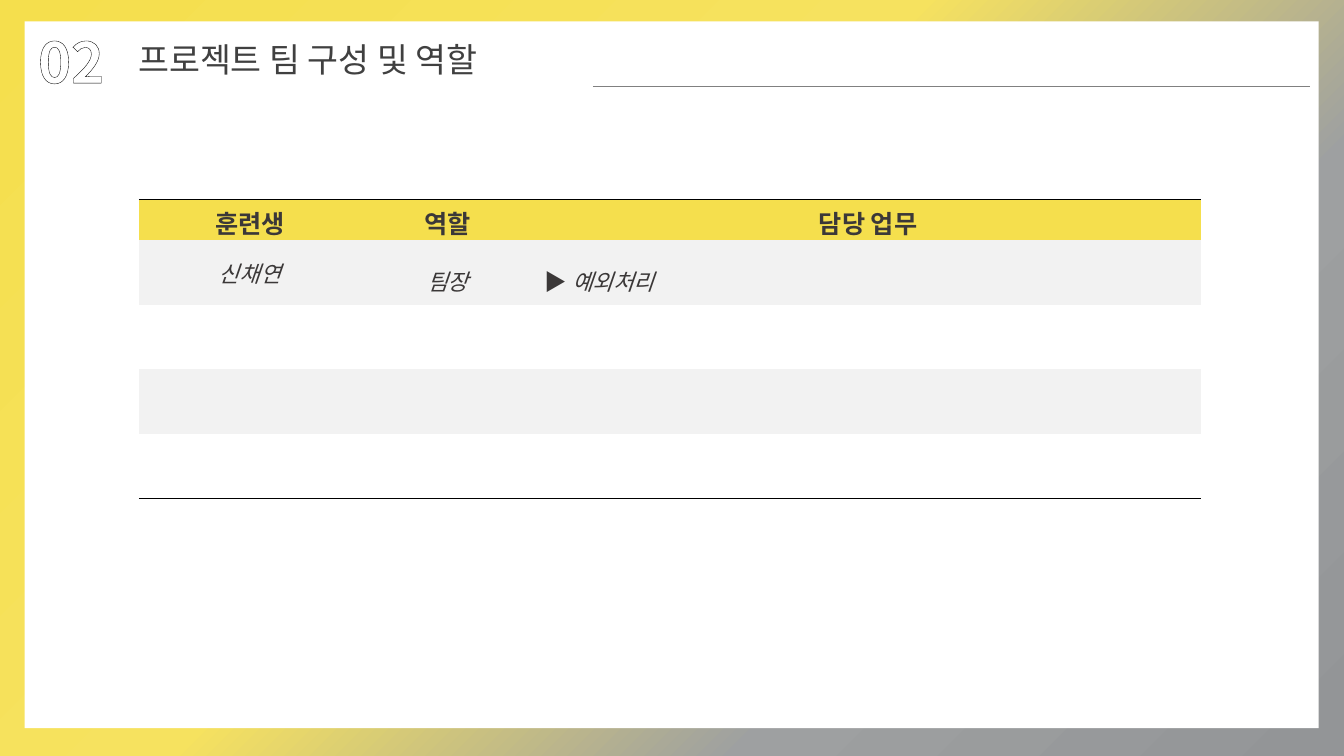
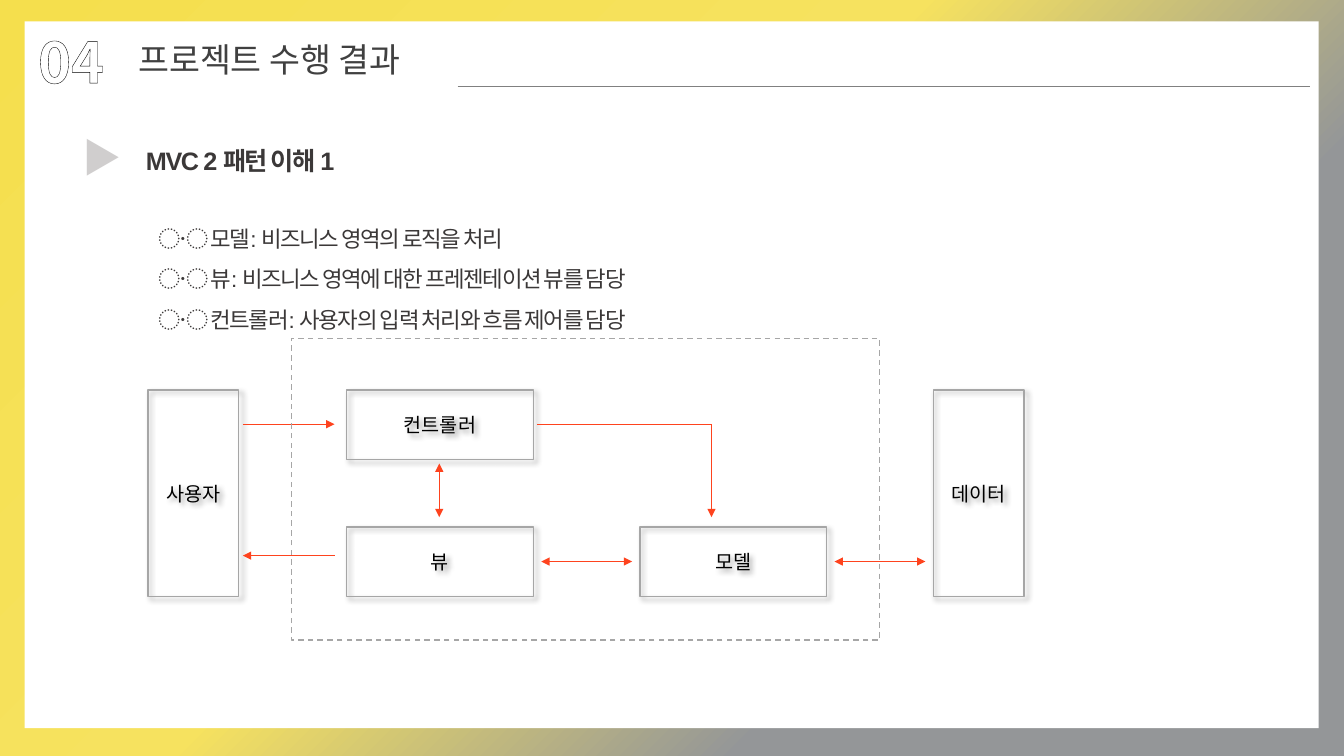
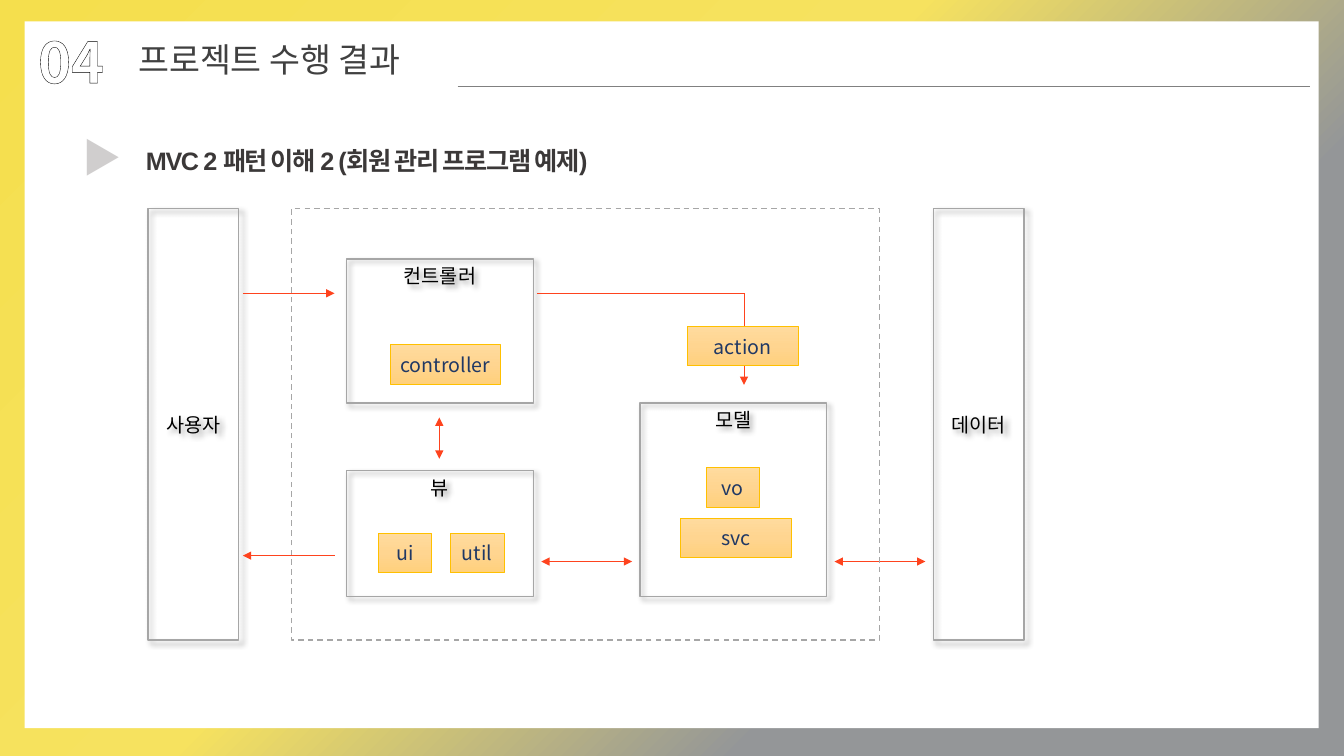
from pptx import Presentation
from pptx.dml.color import RGBColor
from pptx.enum.dml import MSO_LINE
from pptx.enum.shapes import MSO_CONNECTOR, MSO_SHAPE
from pptx.enum.text import MSO_ANCHOR, MSO_AUTO_SIZE, PP_ALIGN
from pptx.oxml import parse_xml
from pptx.oxml.ns import nsdecls, qn
from pptx.util import Cm, Pt

# Colours and fonts
YELLOW = RGBColor(0xF5, 0xDF, 0x4D)
PALE_YELLOW = RGBColor(0xF6, 0xE2, 0x5F)
SILVER = RGBColor(0x9E, 0xA0, 0xA1)
STEEL = RGBColor(0x94, 0x96, 0x98)
GREY = RGBColor(0x93, 0x95, 0x97)
RULE = RGBColor(0x80, 0x80, 0x80)
OUTLINE = RGBColor(0xA6, 0xA6, 0xA6)
LIGHT = RGBColor(0xD0, 0xCE, 0xCE)
BAND = RGBColor(0xF2, 0xF2, 0xF2)
WHITE = RGBColor(0xFF, 0xFF, 0xFF)
BLACK = RGBColor(0, 0, 0)
INK = RGBColor(0x3B, 0x38, 0x38)
TITLE = RGBColor(0x40, 0x40, 0x40)
RED = RGBColor(0xFE, 0x43, 0x1E)
AMBER = RGBColor(0xFF, 0xC0, 0x00)
NAVY = RGBColor(0x20, 0x38, 0x64)
TAG_STOPS = [(0, RGBColor(0xFF, 0xDB, 0x9E), 100),
             (50, RGBColor(0xFF, 0xD5, 0x90), 100),
             (100, RGBColor(0xFF, 0xD0, 0x7C), 100)]
KR, ARIAL, CALIBRI = "Noto Sans CJK KR", "Arial", "Calibri"
NO_GRID = "{2D5ABB26-0587-4C30-8999-92F81FD0307C}"

# Diagram columns, in cm
USER_X, DATA_X, ACTOR_W = 3.73, 23.52, 2.29
LEFT_X, MODEL_X, BOX_W = 8.74, 16.13, 4.7
BOX_BOTTOM, FRAME_BOTTOM = 15.04, 16.13


def xml(text):
    """Parse one DrawingML element."""
    tag, rest = text[1:].split(" ", 1)
    return parse_xml(f"<{tag} {nsdecls('a')} {rest}")


def box(x, y, w, h):
    return Cm(x), Cm(y), Cm(w), Cm(h)


# Text
def add_run(p, text, size, color, font=KR, bold=False, italic=False, spc=0):
    r = p.add_run()
    r.text = text
    r.font.size, r.font.name = Pt(size), font
    r.font.bold, r.font.italic = bold, italic
    r.font.color.rgb = color
    rPr = r._r.get_or_add_rPr()
    rPr.append(xml(f'<a:ea typeface="{KR}"/>'))
    if spc:
        rPr.set("spc", str(spc * 100))
    return rPr


def outline_text(rPr, color, width):
    rPr.insert(0, xml(f'<a:ln w="{Pt(width)}"><a:solidFill>'
                      f'<a:srgbClr val="{color}"/></a:solidFill></a:ln>'))


def pattern_text(rPr, front, back):
    old = rPr.find(qn("a:solidFill"))
    rPr.replace(old, xml(f'<a:pattFill prst="dkUpDiag">'
                         f'<a:fgClr><a:srgbClr val="{front}"/></a:fgClr>'
                         f'<a:bgClr><a:srgbClr val="{back}"/></a:bgClr></a:pattFill>'))


def fit_frame(sp, wrap=True):
    tf = sp.text_frame
    tf.word_wrap = wrap
    tf.auto_size = MSO_AUTO_SIZE.SHAPE_TO_FIT_TEXT
    tf.vertical_anchor = MSO_ANCHOR.TOP
    return tf


def add_text(s, place, text, size, color, **style):
    tf = fit_frame(s.shapes.add_textbox(*place))
    return add_run(tf.paragraphs[0], text, size, color, **style)


def place_placeholder(sp, place):
    sp.left, sp.top, sp.width, sp.height = place


# Shapes and lines
def set_gradient(fill, owner, stops, angle):
    fill.solid()
    old = next(owner.iter(qn("a:solidFill")))
    gs = "".join(f'<a:gs pos="{pos * 1000}"><a:srgbClr val="{color}">'
                 f'<a:alpha val="{alpha * 1000}"/></a:srgbClr></a:gs>'
                 for pos, color, alpha in stops)
    old.getparent().replace(old, xml(
        f'<a:gradFill rotWithShape="1"><a:gsLst>{gs}</a:gsLst>'
        f'<a:lin ang="{angle * 60000}" scaled="0"/></a:gradFill>'))


def add_rect(s, place, line=None, width=1):
    sp = s.shapes.add_shape(MSO_SHAPE.RECTANGLE, *place)
    sp.shadow.inherit = False
    sp.fill.background()
    if line is None:
        sp.line.fill.background()
    else:
        sp.line.color.rgb, sp.line.width = line, Pt(width)
    return sp


def add_label(sp, text, color, anchor=MSO_ANCHOR.MIDDLE):
    tf = sp.text_frame
    tf.vertical_anchor = anchor
    p = tf.paragraphs[0]
    p.alignment = PP_ALIGN.CENTER
    add_run(p, text, 14, color)
    return tf


def add_part(s, text, x, y, w, bottom, anchor=MSO_ANCHOR.MIDDLE):
    sp = add_rect(s, box(x, y, w, bottom - y), OUTLINE)
    sp.element.spPr.find(qn("a:effectLst")).append(xml(
        f'<a:outerShdw blurRad="{Pt(4)}" dist="{Pt(3)}" dir="2700000" algn="tl" '
        'rotWithShape="0"><a:srgbClr val="000000"><a:alpha val="40000"/>'
        '</a:srgbClr></a:outerShdw>'))
    add_label(sp, text, BLACK, anchor)


def add_tag(s, text, x, y, w):
    sp = add_rect(s, box(x, y, w, 0.99), AMBER, 0.5)
    set_gradient(sp.fill, sp.element.spPr, TAG_STOPS, 90)
    add_label(sp, text, NAVY).word_wrap = False


def add_line(s, x1, y1, x2, y2, color=RED, width=0.5, ends=()):
    c = s.shapes.add_connector(MSO_CONNECTOR.STRAIGHT, Cm(x1), Cm(y1), Cm(x2), Cm(y2))
    c.line.color.rgb, c.line.width = color, Pt(width)
    ln = c.line._get_or_add_ln()
    for end in ends:
        ln.append(xml(f'<a:{end} type="triangle"/>'))
    c.element.spPr.append(xml("<a:effectLst />"))


# Frame shared by all slides
def add_slide(prs, layout, number, title, title_w, rule_x, shade=STEEL):
    s = prs.slides.add_slide(prs.slide_layouts[layout])
    stops = [(0, YELLOW, 100), (44, PALE_YELLOW, 70), (71, shade, 70), (100, GREY, 100)]
    set_gradient(s.background.fill, s.element, stops, 45)

    # White panel behind the placeholders
    panel = add_rect(s, box(0.62, 0.54, 32.61, 17.81))
    panel.fill.solid()
    panel.fill.fore_color.rgb = WHITE
    panel.element.getparent().insert(2, panel.element)

    # Number, title and rule
    rPr = add_text(s, box(0.71, 0.56, 3.23, 1.96), number + " ", 40, INK, bold=True)
    pattern_text(rPr, INK, WHITE)
    outline_text(rPr, BLACK, 1.25)
    place_placeholder(s.shapes.title, box(3.23, 0.86, title_w, 1.27))
    p = fit_frame(s.shapes.title, wrap=False).paragraphs[0]
    p.alignment = PP_ALIGN.LEFT
    add_run(p, title, 24, TITLE)
    add_line(s, rule_x, 2.18, 33.02, 2.18, RULE, 1)
    return s


def add_result_slide(prs, layout, heading):
    s = add_slide(prs, layout, "04", "프로젝트 수행 결과", 8.2, 11.53)
    rPr = add_text(s, box(1.83, 3.23, 1.4, 1.45), "▶", 28, GREY, bold=True)
    pattern_text(rPr, GREY, LIGHT)
    outline_text(rPr, GREY, 1)
    add_text(s, box(3.43, 3.53, 24.59, 1.02), heading, 18, INK,
             font=ARIAL, bold=True, spc=-1)
    return s


# Team table
def style_cell(cell, fill, edge=None):
    cell.fill.solid()
    cell.fill.fore_color.rgb = fill
    cell.vertical_anchor = MSO_ANCHOR.MIDDLE
    if edge:
        cell._tc.get_or_add_tcPr().insert(0, xml(
            f'<a:{edge} w="{Pt(0.75)}"><a:solidFill><a:srgbClr val="{BLACK}"/>'
            f'</a:solidFill></a:{edge}>'))


def add_team_table(s):
    widths, heights = (5.59, 4.39, 16.79), (0.76,) + (1.63,) * 4
    frame = s.shapes.add_table(len(heights), len(widths),
                               *box(3.5, 5.03, sum(widths), sum(heights)))
    next(frame.element.iter(qn("a:tableStyleId"))).text = NO_GRID
    table = frame.table
    table.first_row = table.horz_banding = False
    for col, w in zip(table.columns, widths):
        col.width = Cm(w)
    for i, (row, h) in enumerate(zip(table.rows, heights)):
        row.height = Cm(h)
        fill = YELLOW if i == 0 else BAND if i % 2 else WHITE
        edge = {0: "lnT", len(heights) - 1: "lnB"}.get(i)
        for cell in row.cells:
            style_cell(cell, fill, edge)

    # Header and first member
    for j, text in enumerate(("훈련생", "역할", "담당 업무")):
        p = table.cell(0, j).text_frame.paragraphs[0]
        p.alignment = PP_ALIGN.CENTER
        add_run(p, text, 18, INK, CALIBRI, bold=True)
    name, role, task = [table.cell(1, j).text_frame.paragraphs[0] for j in range(3)]
    name.alignment = role.alignment = PP_ALIGN.CENTER
    role.line_spacing = task.line_spacing = 1.5
    outline_text(add_run(task, "▶ ", 16, INK, bold=True), GREY, 1)
    for p, text in ((name, "신채연"), (role, "팀장"), (task, "예외처리")):
        add_run(p, text, 16, INK, CALIBRI, italic=True)


# MVC diagram
def add_mvc(s, frame_top, actor_top, actor_bottom, controller, view_top, model_top,
            request_y, link, turn, anchor=MSO_ANCHOR.MIDDLE):
    add_part(s, "사용자", USER_X, actor_top, ACTOR_W, actor_bottom)
    add_part(s, "컨트롤러", LEFT_X, controller[0], BOX_W, controller[1], anchor)
    add_part(s, "뷰", LEFT_X, view_top, BOX_W, BOX_BOTTOM, anchor)
    add_part(s, "모델", MODEL_X, model_top, BOX_W, BOX_BOTTOM, anchor)
    add_part(s, "데이터", DATA_X, actor_top, ACTOR_W, actor_bottom)

    one, both = ("tailEnd",), ("headEnd", "tailEnd")
    turn_x, turn_y = turn
    add_line(s, 6.12, request_y, 8.43, request_y, ends=one)
    add_line(s, 8.43, 14, 6.12, 14, ends=one)
    add_line(s, 11.07, link[0], 11.07, link[1], ends=both)
    add_line(s, 13.64, 14.15, 15.93, 14.15, ends=both)
    add_line(s, 21.03, 14.15, 23.32, 14.15, ends=both)
    add_line(s, 13.54, request_y, turn_x, request_y)
    add_line(s, turn_x, request_y, turn_x, turn_y, ends=one)

    border = add_rect(s, box(7.34, frame_top, 14.83, FRAME_BOTTOM - frame_top), OUTLINE)
    border.line.dash_style = MSO_LINE.DASH


def add_roles(s, lines):
    body = s.placeholders[1]
    place_placeholder(body, box(3.73, 5.21, 26.39, 3.33))
    tf = fit_frame(body)
    for i, text in enumerate(lines):
        p = tf.add_paragraph() if i else tf.paragraphs[0]
        p.line_spacing, p.space_before = 1.5, Pt(0)
        pPr = p._p.get_or_add_pPr()
        pPr.set("marL", "0")
        pPr.set("indent", "0")
        pPr.append(xml("<a:buNone />"))
        add_run(p, text, 16, INK, ARIAL, spc=-1)


def main():
    prs = Presentation()
    prs.slide_width, prs.slide_height = Cm(33.87), Cm(19.05)

    # Team
    s = add_slide(prs, 5, "02", "프로젝트 팀 구성 및 역할", 10.77, 14.94, SILVER)
    add_team_table(s)

    # MVC roles
    s = add_result_slide(prs, 1, "MVC 2 패턴 이해 1")
    add_roles(s, ("〮 모델: 비즈니스 영역의 로직을 처리",
                  "〮 뷰: 비즈니스 영역에 대한 프레젠테이션 뷰를 담당",
                  "〮 컨트롤러: 사용자의 입력 처리와 흐름 제어를 담당"))
    add_mvc(s, frame_top=8.53, actor_top=9.83, actor_bottom=BOX_BOTTOM,
            controller=(9.83, 11.58), view_top=13.28, model_top=13.28,
            request_y=10.69, link=(11.68, 13.03), turn=(17.93, 13.03))

    # MVC packages
    s = add_result_slide(prs, 5, "MVC 2 패턴 이해 2 (회원 관리 프로그램 예제)")
    add_mvc(s, frame_top=5.26, actor_top=5.26, actor_bottom=FRAME_BOTTOM,
            controller=(6.53, 10.16), view_top=11.86, model_top=10.16,
            request_y=7.39, link=(10.52, 11.56), turn=(18.75, 9.7),
            anchor=MSO_ANCHOR.TOP)
    for text, x, y, w in (("controller", 9.83, 8.69, 2.79),
                          ("svc", 17.15, 13.06, 2.79),
                          ("ui", 9.53, 13.44, 1.35),
                          ("util", 11.35, 13.44, 1.35),
                          ("action", 17.32, 8.23, 2.79),
                          ("vo", 17.81, 11.79, 1.32)):
        add_tag(s, text, x, y, w)

    prs.save("out.pptx")


main()
